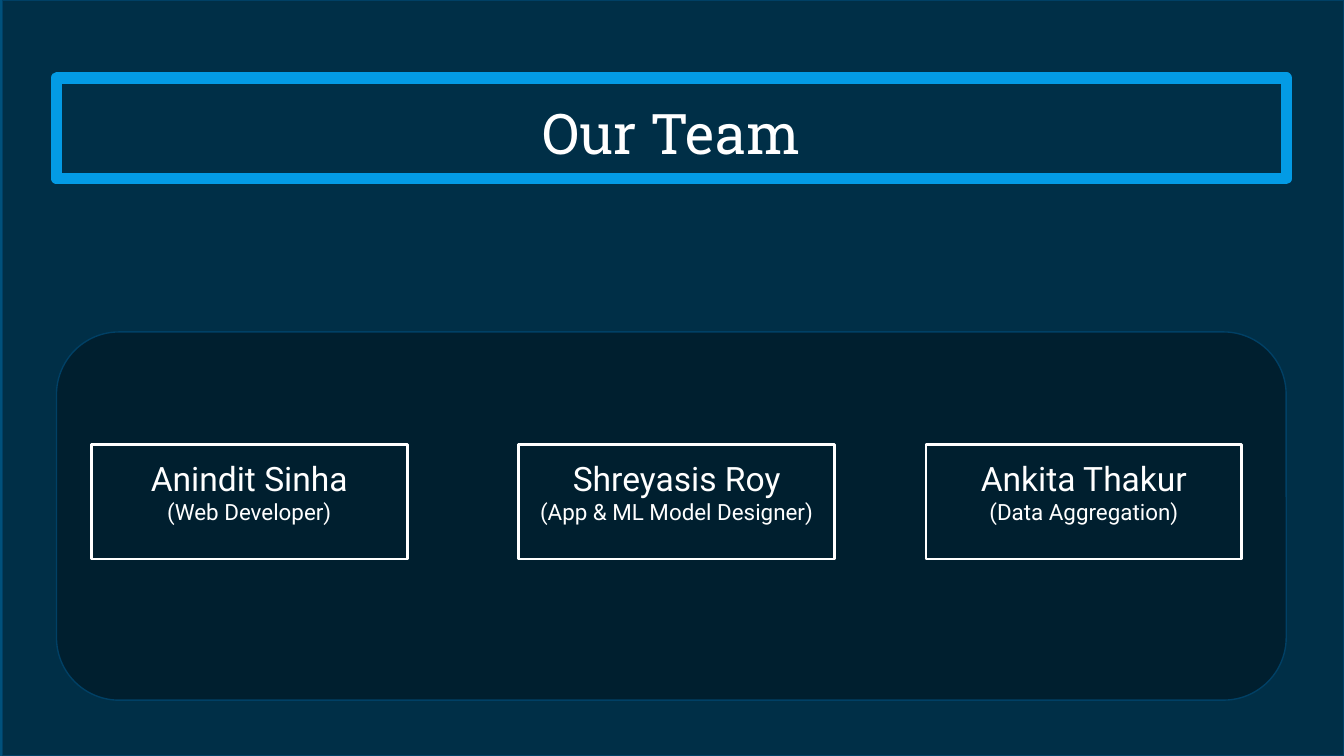
import pptx
import pptx.util
import pptx.oxml
import pptx.dml.color
import pptx.enum.shapes
import pptx.enum.text
from dataclasses import dataclass

TITLE = "Our Team"
# name, role, left edge of the card
TEAM = [
    ("Anindit Sinha", "(Web Developer)", 0.68),
    ("Shreyasis Roy", "(App & ML Model Designer)", 3.86),
    ("Ankita Thakur", "(Data Aggregation)", 6.89),
]

WIDTH = 10
HEIGHT = WIDTH * 9 / 16
MARGIN, CONTENT_WIDTH = 0.42, 9.15
TITLE_TOP, TITLE_HEIGHT = 0.58, 0.75
PANEL_TOP, PANEL_HEIGHT = 2.47, 2.74
CARD_TOP, CARD_WIDTH, CARD_HEIGHT = 3.31, 2.35, 0.85
VEIL_LEFT = 0.02


@dataclass(frozen=True)
class Theme:
    background: str = "00517C"
    shade: str = "000000"
    edge: str = "004065"
    accent: str = "039BE5"
    text: str = "FFFFFF"
    title_font: str = "Roboto Slab"
    body_font: str = "Roboto"
    title_size: int = 30
    name_size: int = 18
    role_size: int = 12


THEME = Theme()
KINDS = pptx.enum.shapes.MSO_SHAPE
ANCHORS = pptx.enum.text.MSO_ANCHOR


def rgb(value):
    return pptx.dml.color.RGBColor.from_string(value)


def place(shape, left, top, width, height):
    shape.left, shape.top, shape.width, shape.height = (
        pptx.util.Inches(length) for length in (left, top, width, height))


def outline(shape, color, width):
    shape.line.color.rgb = rgb(color)
    shape.line.width = pptx.util.Pt(width)


def add_box(page, kind, area, color, width):
    """Add an unfilled, outlined shape without a shadow."""
    box = page.shapes.add_shape(kind, 0, 0, 0, 0)
    place(box, *area)
    box.shadow.inherit = False
    box.fill.background()
    outline(box, color, width)
    return box


def shade(shape, opacity):
    """Fill with the shade colour at an opacity in percent."""
    shape.fill.solid()
    shape.fill.fore_color.rgb = rgb(THEME.shade)
    color = shape.fill._xPr.solidFill.srgbClr
    alpha = pptx.oxml.parse_xml(
        '<a:alpha xmlns:a="http://schemas.openxmlformats.org/drawingml/2006/main"'
        f' val="{opacity * 1000}"/>')
    color.append(alpha)


def write(shape, lines, font, anchor):
    """Write (text, size) lines, one centred paragraph each."""
    frame = shape.text_frame
    frame.word_wrap = True
    frame.auto_size = pptx.enum.text.MSO_AUTO_SIZE.NONE
    frame.vertical_anchor = anchor
    frame.margin_left = frame.margin_right = pptx.util.Inches(0.1)
    frame.margin_top = frame.margin_bottom = pptx.util.Inches(0.1)
    frame.text = "\n".join(text for text, size in lines)
    for para, (text, size) in zip(frame.paragraphs, lines):
        para.alignment = pptx.enum.text.PP_ALIGN.CENTER
        para.line_spacing = 1.0
        para.space_before = pptx.util.Pt(0)
        para.font.name = font
        para.font.size = pptx.util.Pt(size)
        para.font.color.rgb = rgb(THEME.text)


def main():
    deck = pptx.Presentation()
    deck.slide_width = pptx.util.Inches(WIDTH)
    deck.slide_height = pptx.util.Inches(HEIGHT)
    page = deck.slides.add_slide(deck.slide_layouts[5])
    page.background.fill.solid()
    page.background.fill.fore_color.rgb = rgb(THEME.background)

    veil = add_box(page, KINDS.RECTANGLE,
                   (VEIL_LEFT, 0, WIDTH - VEIL_LEFT, HEIGHT), THEME.edge, 0.75)
    shade(veil, 42)

    title = page.shapes.title
    title._element.addprevious(veil._element)  # the veil lies behind the title
    place(title, MARGIN, TITLE_TOP, CONTENT_WIDTH, TITLE_HEIGHT)
    outline(title, THEME.accent, 6)
    write(title, [(TITLE, THEME.title_size)], THEME.title_font, ANCHORS.BOTTOM)

    panel = add_box(page, KINDS.ROUNDED_RECTANGLE,
                    (MARGIN, PANEL_TOP, CONTENT_WIDTH, PANEL_HEIGHT),
                    THEME.edge, 0.75)
    panel.adjustments[0] = 0.17
    shade(panel, 33)

    for name, role, left in TEAM:
        card = add_box(page, KINDS.RECTANGLE,
                       (left, CARD_TOP, CARD_WIDTH, CARD_HEIGHT),
                       THEME.text, 1.5)
        write(card, [(name, THEME.name_size), (role, THEME.role_size)],
              THEME.body_font, ANCHORS.TOP)

    deck.save("out.pptx")


if __name__ == "__main__":
    main()
